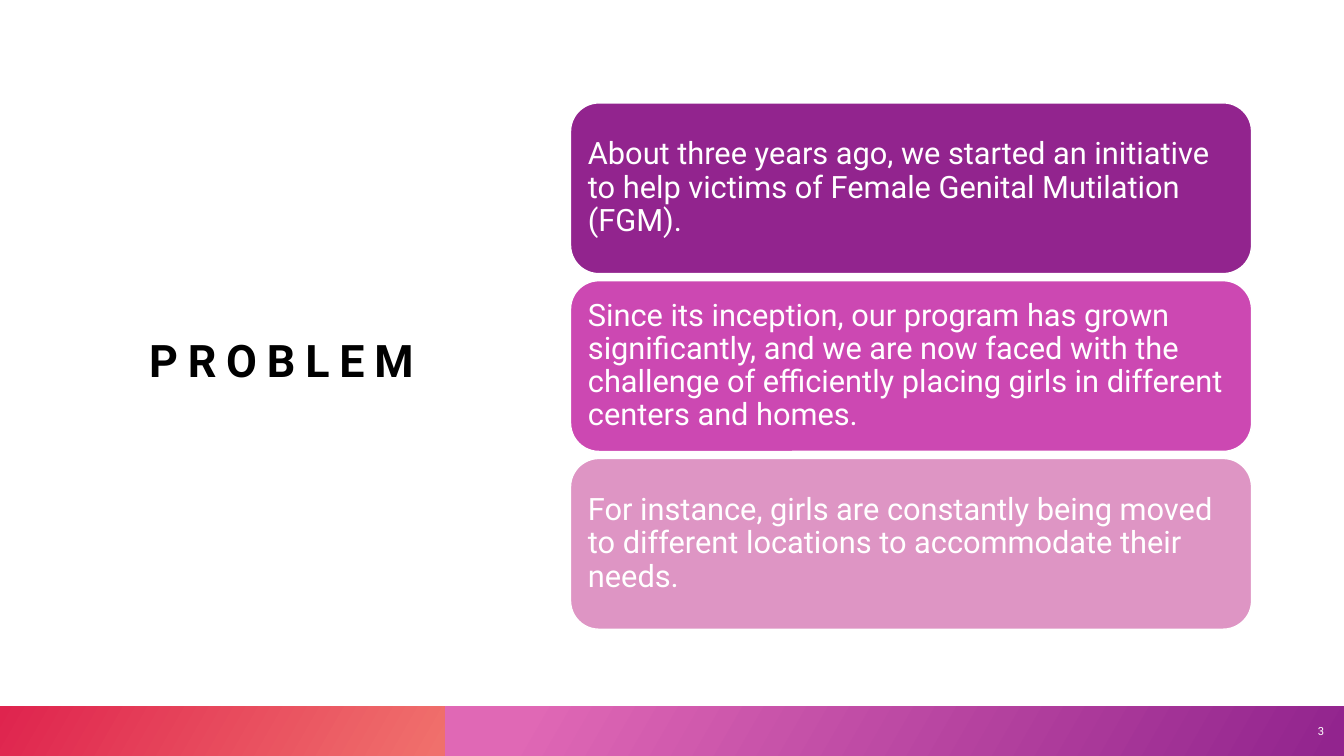
from pptx import Presentation
from pptx.dml.color import RGBColor
from pptx.enum import shapes, text
from pptx.util import Pt

FONT = "Roboto"
WHITE = "FFFFFF"


def rgb(code):
    return RGBColor.from_string(code)


def style(frame, size, color, inset):
    """Set the font, middle anchor and equal margins of a text frame."""
    frame.word_wrap = True
    frame.auto_size = text.MSO_AUTO_SIZE.NONE
    frame.vertical_anchor = text.MSO_ANCHOR.MIDDLE
    frame.margin_left = frame.margin_right = Pt(inset)
    frame.margin_top = frame.margin_bottom = Pt(inset)
    par = frame.paragraphs[0]
    par.font.name = FONT
    par.font.size = Pt(size)
    par.font.color.rgb = rgb(color)
    return par


prs = Presentation()
prs.slide_width, prs.slide_height = Pt(960), Pt(540)
slide = prs.slides.add_slide(prs.slide_layouts[5])

# Title
title = slide.shapes.title
title.left, title.top = Pt(106.5), Pt(80.5)
title.width, title.height = Pt(262), Pt(352)
title.text_frame.text = "PROBLEM"
par = style(title.text_frame, 32, "000000", 0)
par.alignment = text.PP_ALIGN.LEFT
par.font.bold = True
par.runs[0].font._element.set("spc", "700")

# Footer bands: left edge, start and end colour, place of the end colour
bands = [
    (0, "DF244E", "F0706C", 0.34),
    (318, "E068B5", "92248E", 0.99),
]
for left, start, end, stop in bands:
    band = slide.shapes.add_shape(
        shapes.MSO_SHAPE.RECTANGLE, Pt(left), Pt(504.5), Pt(960 - left), Pt(35.5))
    band.shadow.inherit = False
    band.line.fill.background()
    band.fill.gradient()
    band.fill.gradient_angle = 330
    stops = band.fill.gradient_stops
    stops[0].color.rgb, stops[0].position = rgb(start), 0.09 if left else 0
    stops[1].color.rgb, stops[1].position = rgb(end), stop

# Slide number
num = slide.shapes.add_textbox(Pt(918.5), Pt(504.5), Pt(34.5), Pt(35.5))
num.text_frame.text = "3"
par = style(num.text_frame, 8, WHITE, 7.2)
par.alignment = text.PP_ALIGN.RIGHT
par.space_after = Pt(6)

# Problem cards
cards = [
    ("92248E", "About three years ago, we started an initiative to help victims "
               "of Female Genital Mutilation (FGM)."),
    ("CC48B2", "Since its inception, our program has grown significantly, and we "
               "are now faced with the challenge of efficiently placing girls in "
               "different centers and homes."),
    ("DE95C4", "For instance, girls are constantly being moved to different "
               "locations to accommodate their needs."),
]
for row, (color, words) in enumerate(cards):
    card = slide.shapes.add_shape(
        shapes.MSO_SHAPE.ROUNDED_RECTANGLE,
        Pt(407.5), Pt(73.5 + 127 * row), Pt(486.5), Pt(122))
    card.shadow.inherit = False
    card.fill.solid()
    card.fill.fore_color.rgb = rgb(color)
    card.line.color.rgb = rgb(WHITE)
    card.line.width = Pt(1)
    card.text_frame.text = words
    par = style(card.text_frame, 22, WHITE, 6.5)
    par.alignment = text.PP_ALIGN.LEFT
    par.line_spacing = 0.9

prs.save("out.pptx")
